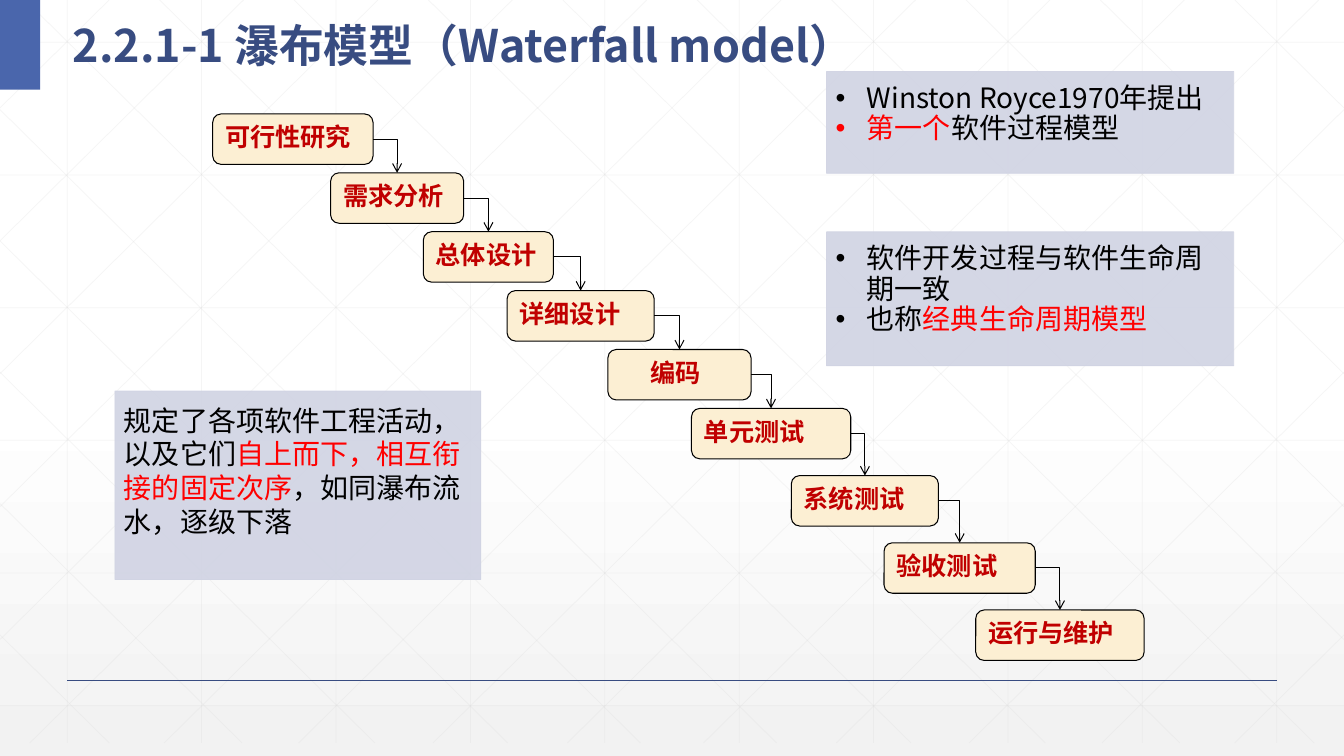
from dataclasses import dataclass

from lxml import etree
from pptx import Presentation
from pptx import util as u
from pptx.dml.color import RGBColor
from pptx.enum import shapes, text
from pptx.oxml import ns

WIDTH, HEIGHT = u.Inches(13.333), u.Inches(7.5)


@dataclass(frozen=True)
class Theme:
    font: str = "Noto Sans CJK SC"
    step_font: str = "Times New Roman"
    title_size: int = 32
    note_size: int = 20
    step_size: int = 18
    navy: str = "384C81"
    blue: str = "4A66AC"
    black: str = "000000"
    red: str = "FF0000"
    dark_red: str = "C00000"
    cream: str = "FCEFD3"
    lavender: str = "D0D3E3"
    grid: str = "D9D9D9"
    white: str = "FFFFFF"
    pale_grey: str = "F2F2F2"


THEME = Theme()

# Label, left and width (percent of the slide width), text indent in inches
STEPS = [
    ("可行性研究", 15.83, 11.93, 0),
    ("需求分析", 24.6, 9.9, 0),
    ("总体设计", 31.5, 9.68, 0),
    ("详细设计", 37.73, 10.95, 0),
    ("编码", 45.23, 10.65, 0.3),
    ("单元测试", 51.45, 11.85, 0),
    ("系统测试", 58.88, 10.95, 0),
    ("验收测试", 65.78, 11.25, 0),
    ("运行与维护", 72.6, 12.53, 0),
]


def across(percent):
    return round(WIDTH * percent / 100)


def down(percent):
    return round(HEIGHT * percent / 100)


def area(left, top, width, height):
    return across(left), down(top), across(width), down(height)


def rgb(colour):
    return RGBColor.from_string(colour)


def add_child(parent, tag, **attributes):
    return etree.SubElement(parent, ns.qn(tag), attributes)


def set_alpha(element, percent):
    for colour in element.iter(ns.qn("a:srgbClr")):
        add_child(colour, "a:alpha", val=str(percent * 1000))


def write_text(shape, paragraphs, *, size, font=THEME.font, bold=False, spacing=1.0,
               indent=0, bullet=False, anchor=text.MSO_ANCHOR.TOP,
               insets=(0.1, 0.05, 0.1, 0.05)):
    """Fill a shape with paragraphs, each a list of (words, colour) runs."""
    frame = shape.text_frame
    frame.word_wrap = True
    frame.auto_size = text.MSO_AUTO_SIZE.NONE
    frame.vertical_anchor = anchor
    (frame.margin_left, frame.margin_top,
     frame.margin_right, frame.margin_bottom) = map(u.Inches, insets)
    for index, runs in enumerate(paragraphs):
        paragraph = frame.add_paragraph() if index else frame.paragraphs[0]
        properties = paragraph._p.get_or_add_pPr()
        if indent:
            properties.set("marL", str(u.Inches(indent)))
        if bullet:
            properties.set("indent", str(-u.Inches(indent)))
            add_child(properties, "a:buFont", typeface="Arial")
            add_child(properties, "a:buChar", char="•")
        paragraph.alignment = text.PP_ALIGN.LEFT
        paragraph.line_spacing = spacing
        for words, colour in runs:
            run = paragraph.add_run()
            run.text = words
            run.font.size = u.Pt(size)
            run.font.bold = bold
            run.font.name = font
            run.font.color.rgb = rgb(colour)
            add_child(run._r.get_or_add_rPr(), "a:ea", typeface=THEME.font)


def add_box(slide, kind, place, fill, line=None, weight=0.75):
    shape = slide.shapes.add_shape(kind, *place)
    shape.shadow.inherit = False
    shape.fill.solid()
    shape.fill.fore_color.rgb = rgb(fill)
    if line:
        shape.line.color.rgb = rgb(line)
        shape.line.width = u.Pt(weight)
    else:
        shape.line.fill.background()
    return shape


def style_connector(connector, colour, weight):
    connector.line.color.rgb = rgb(colour)
    connector.line.width = u.Pt(weight)
    add_child(connector._element.spPr, "a:effectLst")


def add_line(slide, start, end, colour, weight, alpha=None):
    line = slide.shapes.add_connector(
        shapes.MSO_CONNECTOR.STRAIGHT,
        across(start[0]), down(start[1]), across(end[0]), down(end[1]))
    style_connector(line, colour, weight)
    if alpha:
        set_alpha(line._element.spPr, alpha)


def add_step_arrow(slide, upper, lower):
    """Join the right side of one step to the top of the next."""
    arrow = slide.shapes.add_connector(shapes.MSO_CONNECTOR.ELBOW, 0, 0, 0, 0)
    arrow.begin_connect(upper, 3)
    arrow.end_connect(lower, 0)
    arrow._element.spPr.find(ns.qn("a:prstGeom")).set("prst", "bentConnector2")
    style_connector(arrow, THEME.black, 0.75)
    add_child(arrow.line._get_or_add_ln(), "a:tailEnd", type="arrow")


def background_lines():
    """Return the ends of the faint grid and its diagonals, in percent."""
    bottom, run = 98.27, 55.9
    lines = [((5 + 10 * i, 0), (5 + 10 * i, bottom)) for i in range(10)]
    lines += [((0, 5.6 + 17.55 * i), (100, 5.6 + 17.55 * i)) for i in range(6)]
    diagonals = []
    for i in range(10):
        left = 1.88 + 10 * i
        reach = min(run, 100 - left)
        diagonals.append(((left, 0), (left + reach, reach * bottom / run)))
    for i in range(5):
        top = 14.5 + 17.37 * i
        diagonals.append(((0, top), ((bottom - top) * run / bottom, bottom)))
    mirrored = [((100 - x1, y1), (100 - x2, y2)) for (x1, y1), (x2, y2) in diagonals]
    return lines + diagonals + mirrored


def add_background(slide):
    fill = slide.background.fill
    fill.gradient()
    fill.gradient_angle = 270
    stops = [(0.53, THEME.white), (1, THEME.pale_grey)]
    for stop, (position, colour) in zip(fill.gradient_stops, stops):
        stop.position = position
        stop.color.rgb = rgb(colour)
    for start, end in background_lines():
        add_line(slide, start, end, THEME.grid, 0.5, alpha=25)
    add_line(slide, (5, 90), (95, 90), THEME.navy, 1)
    add_box(slide, shapes.MSO_SHAPE.RECTANGLE, area(0, 0, 3, 11.87), THEME.blue)


def add_title(slide, words):
    title = slide.shapes.title
    title.left, title.top, title.width, title.height = area(4.65, 0, 65.1, 9.73)
    write_text(title, [[(words, THEME.navy)]], size=THEME.title_size, bold=True,
               spacing=1.3, anchor=text.MSO_ANCHOR.MIDDLE)
    slide.shapes._spTree.append(title._element)


def add_waterfall(slide):
    previous = None
    for row, (label, left, width, indent) in enumerate(STEPS):
        top = 15.07 + 7.79 * min(row, 5) + 8.89 * max(row - 5, 0)
        step = add_box(slide, shapes.MSO_SHAPE.ROUNDED_RECTANGLE,
                       area(left, top, width, 6.67), THEME.cream, THEME.black)
        write_text(step, [[(label, THEME.dark_red)]], size=THEME.step_size,
                   font=THEME.step_font, bold=True, indent=indent)
        if previous is not None:
            add_step_arrow(slide, previous, step)
        previous = step


def add_note(slide, place, paragraphs, **layout):
    note = add_box(slide, shapes.MSO_SHAPE.RECTANGLE, place,
                   THEME.lavender, THEME.lavender, 0.5)
    set_alpha(note._element.spPr, 90)
    write_text(note, paragraphs, size=THEME.note_size,
               insets=(0.09, 0.12, 0.12, 0.1), **layout)


def main():
    presentation = Presentation()
    presentation.slide_width, presentation.slide_height = WIDTH, HEIGHT
    slide = presentation.slides.add_slide(presentation.slide_layouts[5])
    add_background(slide)
    add_title(slide, "2.2.1-1 瀑布模型（Waterfall model）")
    add_waterfall(slide)
    black, red = THEME.black, THEME.red
    bullets = {"bullet": True, "indent": 0.31, "spacing": 0.91}
    add_note(slide, area(61.5, 9.47, 30.3, 13.47), [
        [("Winston Royce1970年提出", black)],
        [("第一个", red), ("软件过程模型", black)]], **bullets)
    add_note(slide, area(8.55, 51.73, 27.23, 24.93), [
        [("规定了各项软件工程活动，以及它们", black),
         ("自上而下，相互衔接的固定次序", red),
         ("，如同瀑布流水，逐级下落", black)]])
    add_note(slide, area(61.5, 30.67, 30.3, 17.73), [
        [("软件开发过程与软件生命周期一致", black)],
        [("也称", black), ("经典生命周期模型", red)]], **bullets)
    presentation.save("out.pptx")


if __name__ == "__main__":
    main()
